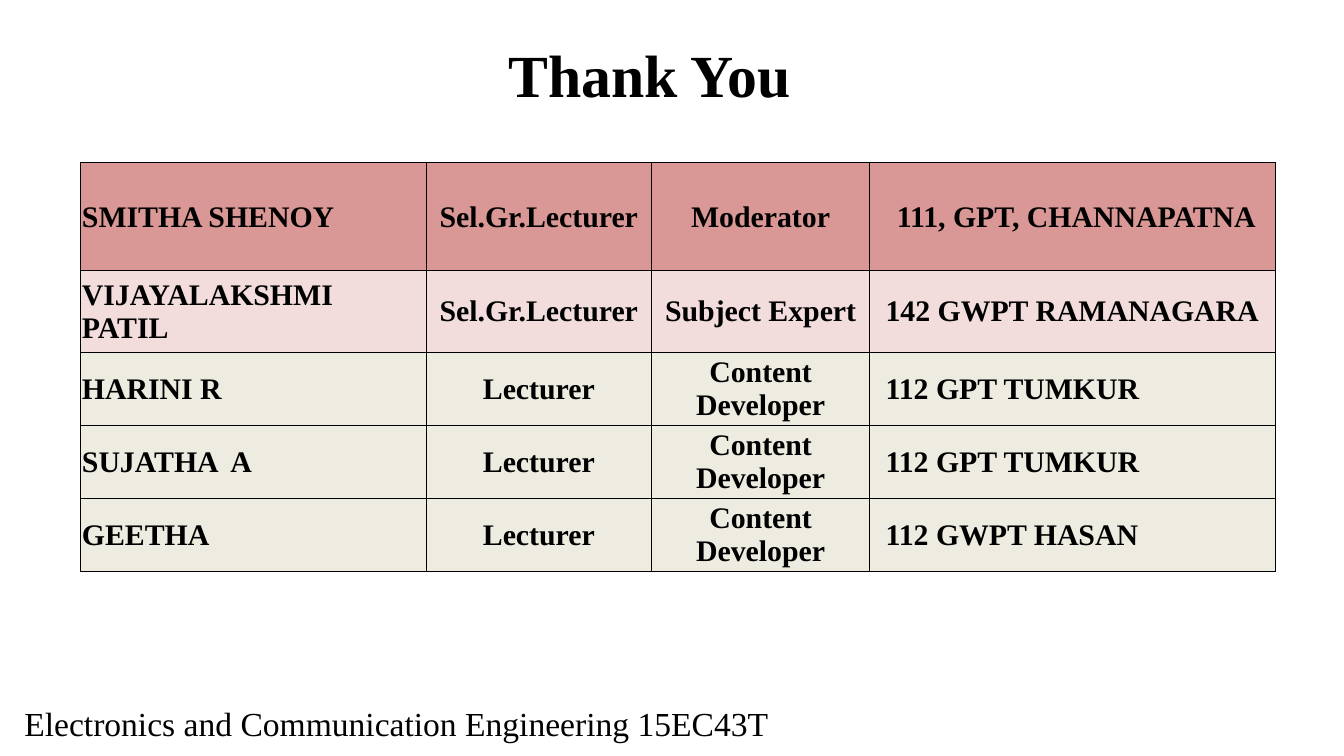
from lxml import etree
from pptx import Presentation
from pptx.dml.color import RGBColor
from pptx.enum.text import MSO_ANCHOR, PP_ALIGN
from pptx.oxml.ns import qn
from pptx.util import Inches, Pt

LEFT, CENTER, RIGHT = PP_ALIGN.LEFT, PP_ALIGN.CENTER, PP_ALIGN.RIGHT
MIDDLE = MSO_ANCHOR.MIDDLE
FONT = "Times New Roman"
BLACK = "000000"


def color(hex_string):
    return RGBColor.from_string(hex_string)


def write(text_frame, text, size, bold, alignment):
    paragraph = text_frame.paragraphs[0]
    paragraph.alignment = alignment
    run = paragraph.add_run()
    run.text = text
    run.font.name = FONT
    run.font.size = Pt(size)
    run.font.bold = bold
    run.font.color.rgb = color(BLACK)


# Widescreen slide, 16:9
presentation = Presentation()
presentation.slide_width = Inches(10)
presentation.slide_height = Inches(10 * 9 / 16)
slide = presentation.slides.add_slide(presentation.slide_layouts[6])

# Footer and title
text_boxes = [
    ("Electronics and Communication Engineering 15EC43T", (0.05, 5.18, 5.77, 0.4), 18, False, RIGHT),
    ("Thank You", (2.5, 0.23, 4.67, 0.64), 32, True, CENTER),
]
for text, box, size, bold, alignment in text_boxes:
    text_box = slide.shapes.add_textbox(*[Inches(length) for length in box])
    text_box.text_frame.word_wrap = True
    write(text_box.text_frame, text, size, bold, alignment)

# Staff table: row height, fill and cell texts
staff = [
    (0.8, "D99795", ["SMITHA SHENOY", "Sel.Gr.Lecturer", "Moderator", "111, GPT, CHANNAPATNA"]),
    (0.61, "F2DDDC", ["VIJAYALAKSHMI PATIL", "Sel.Gr.Lecturer", "Subject Expert", "142 GWPT RAMANAGARA"]),
    (0.54, "EEECE1", ["HARINI R", "Lecturer", "Content Developer", "112 GPT TUMKUR"]),
    (0.53, "EEECE1", ["SUJATHA  A", "Lecturer", "Content Developer", "112 GPT TUMKUR"]),
    (0.54, "EEECE1", ["GEETHA", "Lecturer", "Content Developer", "112 GWPT HASAN"]),
]
column_widths = [2.57, 1.68, 1.62, 3.02]
column_alignments = [LEFT, CENTER, CENTER, LEFT]
left_margins = [0.01, 0.01, 0.01, 0.12]

table = slide.shapes.add_table(
    len(staff), len(column_widths), Inches(0.6), Inches(1.21),
    Inches(sum(column_widths)), Inches(sum(height for height, _, _ in staff)),
).table
table.first_row = False
table.horz_banding = False
for column, width in zip(table.columns, column_widths):
    column.width = Inches(width)

for row_index, (height, fill, texts) in enumerate(staff):
    table.rows[row_index].height = Inches(height)
    for column_index, text in enumerate(texts):
        cell = table.cell(row_index, column_index)
        cell.vertical_anchor = MIDDLE
        cell.margin_left = Inches(left_margins[column_index])
        cell.margin_right = cell.margin_top = Inches(0.01)
        cell.margin_bottom = 0
        alignment = column_alignments[column_index]
        # The first row's address is centred, the others start at the left
        if row_index == 0 and column_index == 3:
            alignment = CENTER
            cell.margin_left = Inches(0.07)
        write(cell.text_frame, text, 16, True, alignment)

        # Borders come before the fill in the cell properties
        properties = cell._tc.get_or_add_tcPr()
        for side in ("a:lnL", "a:lnR", "a:lnT", "a:lnB"):
            border = etree.SubElement(properties, qn(side), w=str(Pt(0.5)))
            border_fill = etree.SubElement(border, qn("a:solidFill"))
            etree.SubElement(border_fill, qn("a:srgbClr"), val=BLACK)
        cell.fill.solid()
        cell.fill.fore_color.rgb = color(fill)

presentation.save("out.pptx")
